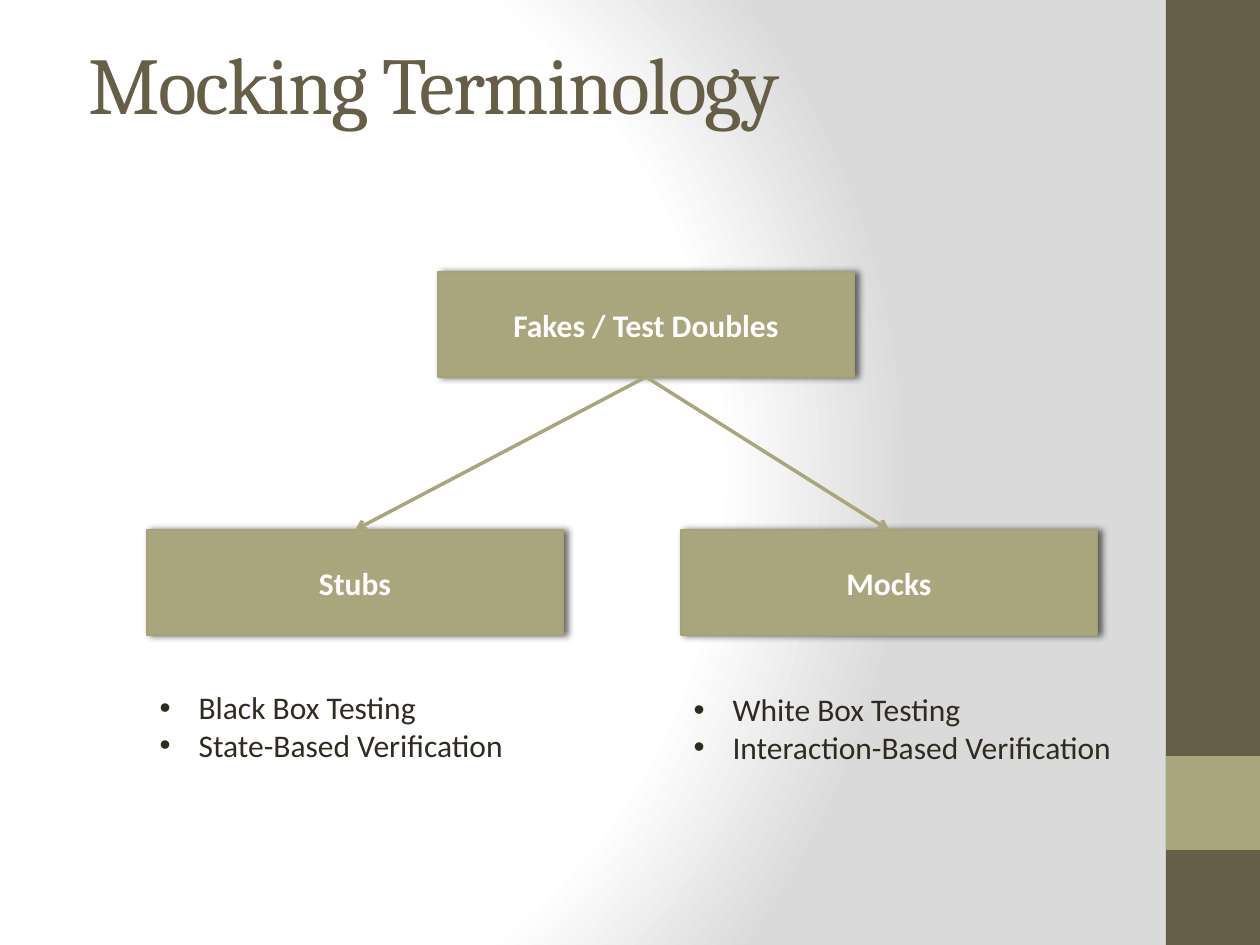
from collections import namedtuple

from lxml import etree
from pptx import Presentation
from pptx import util as u
from pptx.dml.color import RGBColor
from pptx.enum import shapes, text
from pptx.oxml import parse_xml
from pptx.oxml.ns import nsdecls, qn

Theme = namedtuple("Theme", "dark accent edge ink white heading body title_size text_size")
theme = Theme(
    dark=RGBColor.from_string("675E47"),
    accent=RGBColor.from_string("A9A57C"),
    edge=RGBColor.from_string("A6A278"),
    ink=RGBColor.from_string("2F2B20"),
    white=RGBColor.from_string("FFFFFF"),
    heading="Cambria",
    body="Calibri",
    title_size=u.Pt(46),
    text_size=u.Pt(18),
)
SCALE = 914400 / 126  # EMU per px


def px(*lengths):
    return [u.Emu(round(length * SCALE)) for length in lengths]


def add_rectangle(frame, color):
    shape = slide.shapes.add_shape(shapes.MSO_SHAPE.RECTANGLE, *px(*frame))
    shape.shadow.inherit = False
    shape.fill.solid()
    shape.fill.fore_color.rgb = color
    shape.line.fill.background()
    return shape


presentation = Presentation()
presentation.slide_width, presentation.slide_height = px(1260, 945)
slide = presentation.slides.add_slide(presentation.slide_layouts[3])

# Background: radial gradient
slide.background.fill.solid()
solid = slide.background._cSld.find(".//" + qn("a:solidFill"))
stops = "".join(
    f'<a:gs pos="{position}000"><a:srgbClr val="{color}"/></a:gs>'
    for position, color in ((0, "FFFFFF"), (75, "FFFFFF"), (100, "DADADA"))
)
solid.getparent().replace(solid, parse_xml(
    f'<a:gradFill {nsdecls("a")} rotWithShape="1"><a:gsLst>{stops}</a:gsLst>'
    '<a:path path="circle"><a:fillToRect l="20000" t="50000" r="100000" b="50000"/></a:path>'
    '</a:gradFill>'))

# Side bars
add_rectangle((1166, 0, 94, 945), theme.dark)
add_rectangle((1166, 756, 94, 94), theme.accent)

# Title
title = slide.shapes.title
title.left, title.top, title.width, title.height = px(76, 15, 1109, 135)
title.text_frame.text = "Mocking Terminology"
title.text_frame.auto_size = text.MSO_AUTO_SIZE.NONE
title.text_frame.vertical_anchor = text.MSO_ANCHOR.MIDDLE
paragraph = title.text_frame.paragraphs[0]
paragraph.alignment = text.PP_ALIGN.LEFT
paragraph.font.name = theme.heading
paragraph.font.size = theme.title_size
paragraph.font.color.rgb = theme.dark
paragraph.runs[0].font._element.set("spc", "-100")

# Boxes
boxes = []
for label, left, top in (
    ("Fakes / Test Doubles", 438, 272),
    ("Stubs", 147, 530),
    ("Mocks", 681, 530),
):
    box = add_rectangle((left, top, 416, 105), theme.accent)
    box.line.color.rgb = theme.edge
    box.line.width = u.Pt(1)
    effects = box._element.spPr.find(qn("a:effectLst"))
    effects.append(parse_xml(
        f'<a:outerShdw {nsdecls("a")} blurRad="{u.Pt(4)}" dist="{u.Pt(2)}" dir="0" '
        'rotWithShape="0"><a:srgbClr val="000000"><a:alpha val="60000"/></a:srgbClr>'
        '</a:outerShdw>'))
    box.text_frame.text = label
    box.text_frame.vertical_anchor = text.MSO_ANCHOR.MIDDLE
    paragraph = box.text_frame.paragraphs[0]
    paragraph.alignment = text.PP_ALIGN.CENTER
    paragraph.font.name = theme.body
    paragraph.font.size = theme.text_size
    paragraph.font.bold = True
    paragraph.font.color.rgb = theme.white
    boxes.append(box)

# Arrows from the parent box to its kinds
parent, *kinds = boxes
for kind in kinds:
    arrow = slide.shapes.add_connector(shapes.MSO_CONNECTOR.STRAIGHT, 0, 0, 0, 0)
    arrow.begin_connect(parent, 2)
    arrow.end_connect(kind, 0)
    arrow.line.color.rgb = theme.accent
    arrow.line.width = u.Pt(2)
    etree.SubElement(arrow.line._get_or_add_ln(), qn("a:tailEnd"), type="arrow")
    etree.SubElement(arrow._element.spPr, qn("a:effectLst"))

# Lists below the kinds
for index, frame, items in (
    (1, (147, 682, 416, 89), ("Black Box Testing", "State-Based Verification")),
    (2, (681, 684, 483, 89), ("White Box Testing", "Interaction-Based Verification")),
):
    body = slide.placeholders[index]
    body.left, body.top, body.width, body.height = px(*frame)
    body.text_frame.text = "\n".join(items)
    body.text_frame.word_wrap = True
    body.text_frame.auto_size = text.MSO_AUTO_SIZE.SHAPE_TO_FIT_TEXT
    for paragraph in body.text_frame.paragraphs:
        paragraph.space_before = u.Pt(0)
        paragraph.font.name = theme.body
        paragraph.font.size = theme.text_size
        paragraph.font.color.rgb = theme.ink
        properties = paragraph._p.get_or_add_pPr()
        indent = px(39)[0]
        properties.set("marL", str(indent))
        properties.set("indent", str(-indent))
        bullet = etree.Element(qn("a:buChar"), char="•")
        properties.find(qn("a:defRPr")).addprevious(bullet)

presentation.save("out.pptx")
